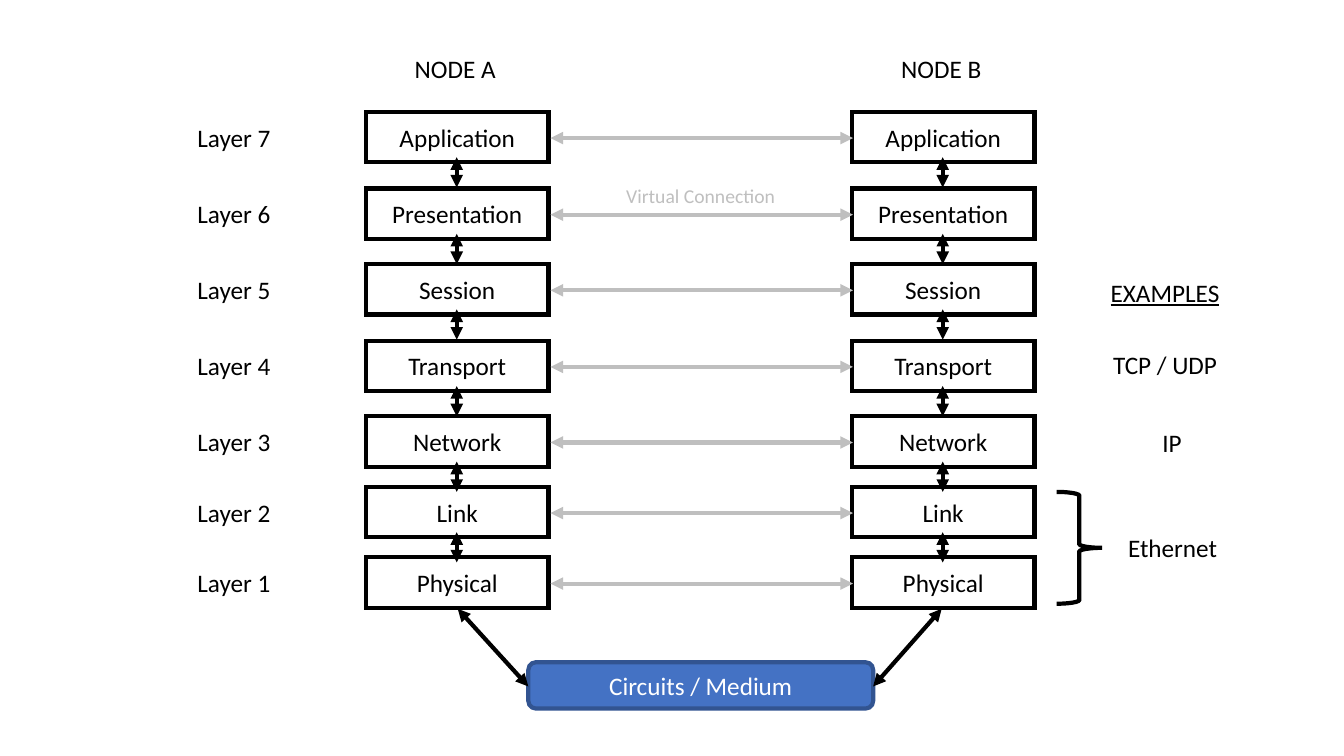
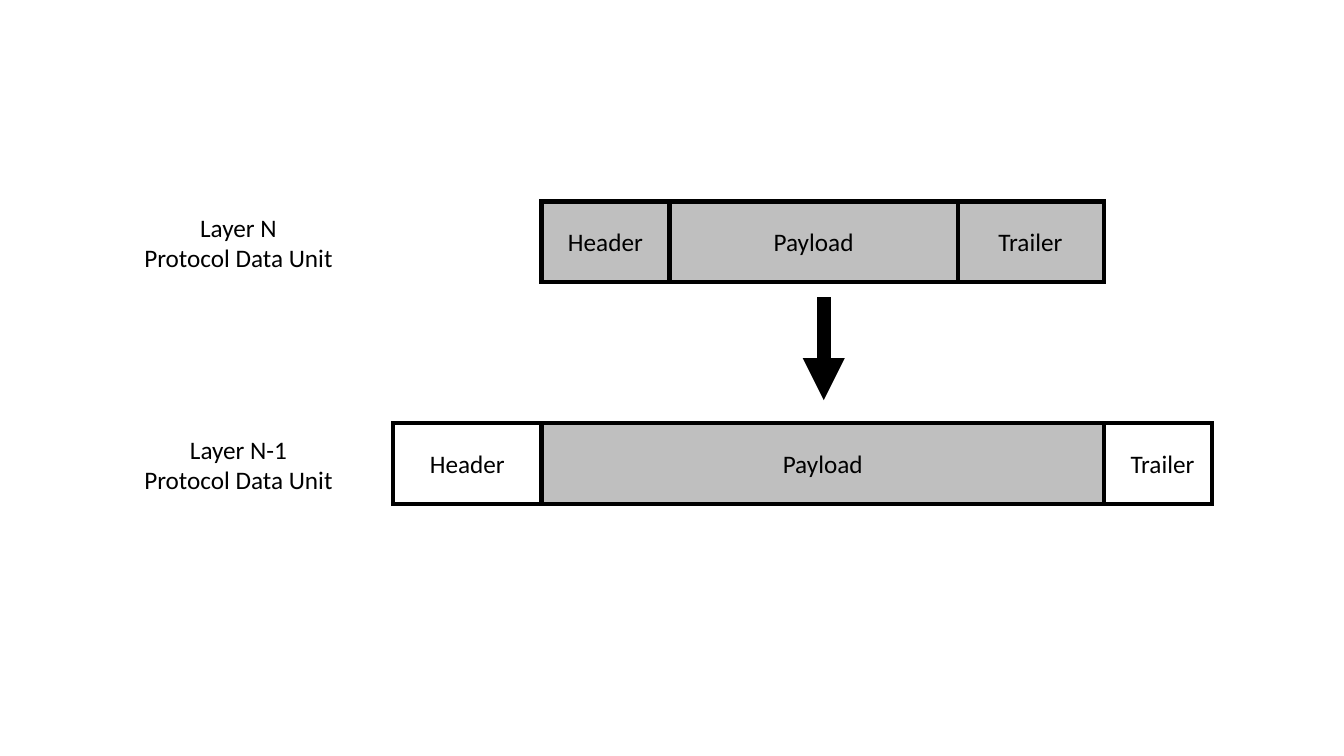
import dataclasses

import pptx
import pptx.dml.color
import pptx.enum.shapes
import pptx.enum.text
import pptx.oxml.ns
import pptx.util
from lxml import etree

Inches = pptx.util.Inches
RGB = pptx.dml.color.RGBColor
SHAPE = pptx.enum.shapes.MSO_SHAPE
qn = pptx.oxml.ns.qn


@dataclasses.dataclass(frozen=True)
class Theme:
    font: str = "Calibri"
    body_size: int = 18
    note_size: int = 14
    line_width: int = 3
    thick_line: int = 10
    black: RGB = RGB(0x00, 0x00, 0x00)
    white: RGB = RGB(0xFF, 0xFF, 0xFF)
    grey: RGB = RGB(0xBF, 0xBF, 0xBF)
    blue: RGB = RGB(0x44, 0x72, 0xC4)
    dark_blue: RGB = RGB(0x32, 0x54, 0x91)


THEME = Theme()


class Diagram:
    """Draws styled elements on the current slide; lengths are in inches."""

    def __init__(self, deck, theme):
        self.deck = deck
        self.theme = theme
        self.slide = None

    def new_slide(self):
        blank = self.deck.slide_layouts.get_by_name("Blank")
        self.slide = self.deck.slides.add_slide(blank)

    def add_text(self, shape, text, size=None, color=None, underline=False):
        """Centre the text in the shape, with a line break at each newline."""
        frame = shape.text_frame
        frame.vertical_anchor = pptx.enum.text.MSO_ANCHOR.MIDDLE
        para = frame.paragraphs[0]
        para.alignment = pptx.enum.text.PP_ALIGN.CENTER
        for index, line in enumerate(text.split("\n")):
            if index:
                para.add_line_break()
            span = para.add_run()
            span.text = line
            span.font.name = self.theme.font
            span.font.size = pptx.util.Pt(size or self.theme.body_size)
            span.font.color.rgb = color or self.theme.black
            if underline:
                span.font.underline = True

    def label(self, text, left, top, width, height=0.4, fill=None, **style):
        box = self.slide.shapes.add_textbox(
            Inches(left), Inches(top), Inches(width), Inches(height))
        box.text_frame.word_wrap = False
        if fill:
            box.fill.solid()
            box.fill.fore_color.rgb = fill
        self.add_text(box, text, **style)

    def box(self, left, top, width, height, text="", kind=SHAPE.RECTANGLE,
            fill=None, outline=None, **style):
        box = self.slide.shapes.add_shape(
            kind, Inches(left), Inches(top), Inches(width), Inches(height))
        box.shadow.inherit = False
        if fill:
            box.fill.solid()
            box.fill.fore_color.rgb = fill
        else:
            box.fill.background()
        self.stroke(box, outline)
        outline_xml = box.element.spPr.find(qn("a:ln"))
        etree.SubElement(outline_xml, qn("a:miter"), lim="800000")
        if text:
            self.add_text(box, text, **style)

    def stroke(self, shape, color=None, width=None):
        shape.line.color.rgb = color or self.theme.black
        shape.line.width = pptx.util.Pt(width or self.theme.line_width)

    def line(self, start, end, color=None, width=None, ends=()):
        """Draw a straight line; ends may name headEnd and tailEnd, in order."""
        connector = self.slide.shapes.add_connector(
            pptx.enum.shapes.MSO_CONNECTOR.STRAIGHT,
            *(Inches(value) for value in (*start, *end)))
        self.stroke(connector, color, width)
        properties = connector.element.spPr
        for end_name in ends:
            etree.SubElement(properties.find(qn("a:ln")),
                             qn(f"a:{end_name}"), type="triangle")
        etree.SubElement(properties, qn("a:effectLst"))

    def double_arrow(self, start, end, color=None):
        self.line(start, end, color, ends=("headEnd", "tailEnd"))


LAYERS = [
    ("Application", 1.11), ("Presentation", 1.87), ("Session", 2.62),
    ("Transport", 3.38), ("Network", 4.13), ("Link", 4.83), ("Physical", 5.53),
]
NODES = [("NODE A", 3.63), ("NODE B", 8.45)]
LAYER_WIDTH, LAYER_HEIGHT = 1.81, 0.5


def draw_node(diagram, name, left):
    """Draw one node's stack of layers and the arrows between them."""
    diagram.label(name, left + 0.38, 0.48, 1.01)
    for layer, top in LAYERS:
        diagram.box(left, top, LAYER_WIDTH, LAYER_HEIGHT, layer)
    center = left + 0.9
    for _, top in LAYERS[:-1]:
        diagram.double_arrow((center, top + 0.45), (center, top + 0.75))


def draw_layer_model(diagram):
    theme = diagram.theme
    diagram.new_slide()
    for name, left in NODES:
        draw_node(diagram, name, left)
    for index, (_, top) in enumerate(LAYERS):
        diagram.label(f"Layer {len(LAYERS) - index}", 1.85, top + 0.05, 0.94)
        middle = top + 0.26
        diagram.double_arrow((8.46, middle), (5.46, middle), theme.grey)
    diagram.label("Virtual Connection", 6.1, 1.77, 1.7, 0.34,
                  size=theme.note_size, color=theme.grey)

    diagram.box(5.24, 6.57, 3.42, 0.46, "Circuits / Medium",
                SHAPE.ROUNDED_RECTANGLE, theme.blue, theme.dark_blue,
                color=theme.white)
    diagram.double_arrow((4.54, 6.04), (5.24, 6.81))
    diagram.double_arrow((9.34, 6.04), (8.66, 6.81))

    diagram.label("EXAMPLES", 10.91, 2.7, 1.29, underline=True)
    diagram.label("TCP / UDP", 10.93, 3.42, 1.25)
    diagram.label("IP", 11.43, 4.19, 0.39)
    diagram.label("Ethernet", 11.08, 5.23, 1.1)
    diagram.box(10.48, 4.88, 0.45, 1.11, kind=SHAPE.RIGHT_BRACE)


def draw_encapsulation(diagram):
    theme = diagram.theme
    diagram.new_slide()
    left, width, height = 5.37, 5.58, 0.8
    upper, lower = 2, 4.2
    for layer, top in (("N", upper), ("N-1", lower)):
        diagram.label(f"Layer {layer}\nProtocol Data Unit",
                      1.32, top + 0.05, 2.09, 0.71)

    diagram.box(left, upper, width, height, fill=theme.grey)
    for divider in (6.64, 9.5):
        diagram.line((divider, upper), (divider, upper + height))
    for text, text_left, text_width in (
            ("Header", 5.53, 0.95), ("Payload", 7.57, 1), ("Trailer", 9.8, 0.84)):
        diagram.label(text, text_left, upper + 0.2, text_width, fill=theme.grey)

    diagram.box(left, lower, width, height, "Payload", fill=theme.grey)
    diagram.box(3.9, lower, 1.47, height)
    diagram.label("Header", 4.16, lower + 0.2, 0.95)
    diagram.box(left + width, lower, 1.07, height)
    diagram.label("Trailer", 11.11, lower + 0.2, 0.84)

    diagram.line((8.17, 2.95), (8.17, 3.97), width=theme.thick_line,
                 ends=("tailEnd",))


def main():
    deck = pptx.Presentation()
    deck.slide_width, deck.slide_height = Inches(13.33), Inches(7.5)
    diagram = Diagram(deck, THEME)
    draw_layer_model(diagram)
    draw_encapsulation(diagram)
    deck.save("out.pptx")


if __name__ == "__main__":
    main()
